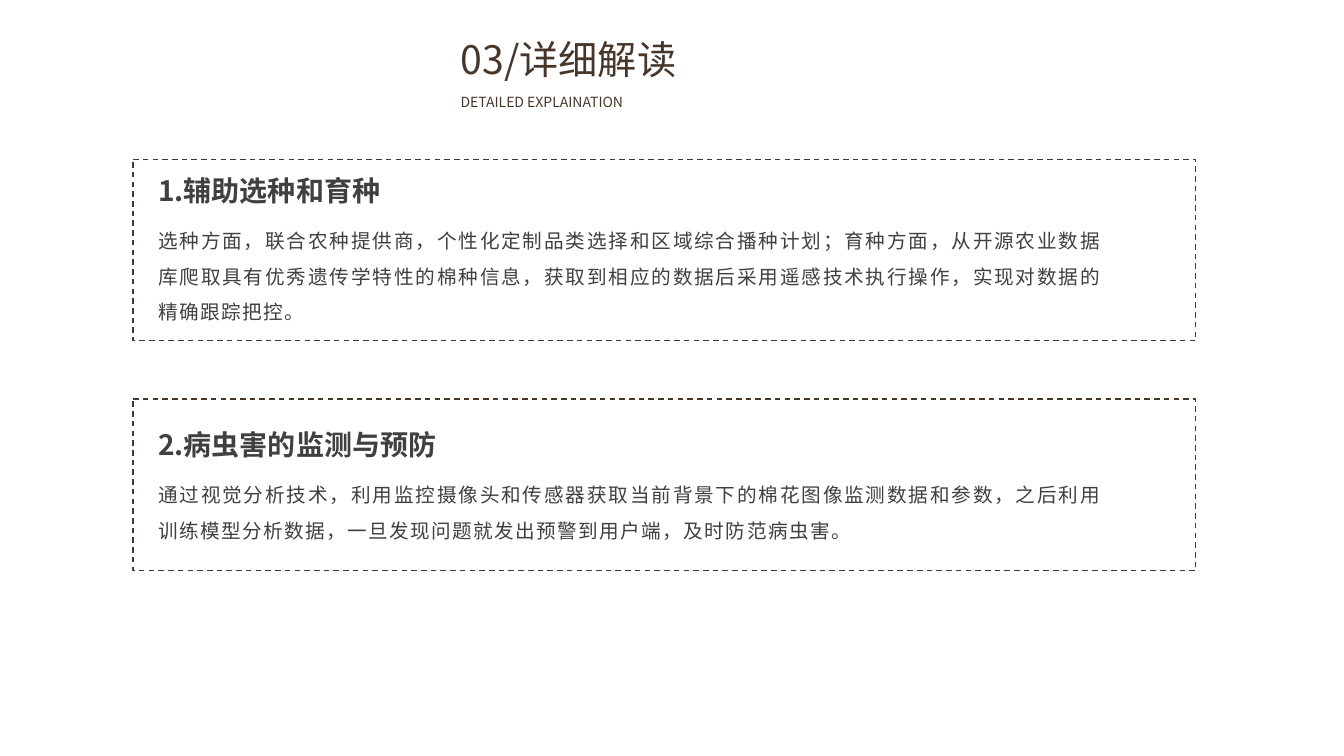
from pptx import Presentation
from pptx.dml.color import RGBColor
from pptx.enum.dml import MSO_LINE
from pptx.enum.shapes import MSO_SHAPE
from pptx.enum.text import MSO_ANCHOR, MSO_AUTO_SIZE, PP_ALIGN
from pptx.oxml.ns import qn
from pptx.util import Inches, Pt

FONT = "Noto Sans CJK SC"
COLORS = {"brown": "47372B", "gray": "404040"}
FRAME = {"word_wrap": True, "auto_size": MSO_AUTO_SIZE.SHAPE_TO_FIT_TEXT,
         "vertical_anchor": MSO_ANCHOR.TOP}
STYLES = {
    "title": {"size": Pt(28), "bold": False, "name": FONT},
    "subtitle": {"size": Pt(10), "bold": False, "name": FONT},
    "heading": {"size": Pt(20), "bold": True, "name": FONT},
    "body": {"size": Pt(14), "bold": False, "name": FONT},
}
SECTIONS = [
    {"box": (1.32, 1.58, 10.54, 1.8), "inset": 0.09, "body_height": 1.12,
     "heading": "1.辅助选种和育种",
     "body": "选种方面，联合农种提供商，个性化定制品类选择和区域综合播种计划；"
             "育种方面，从开源农业数据库爬取具有优秀遗传学特性的棉种信息，"
             "获取到相应的数据后采用遥感技术执行操作，实现对数据的精确跟踪把控。"},
    {"box": (1.32, 3.96, 10.54, 1.7), "inset": 0.23, "body_height": 0.77,
     "heading": "2.病虫害的监测与预防",
     "body": "通过视觉分析技术，利用监控摄像头和传感器获取当前背景下的棉花图像监测数据和参数，"
             "之后利用训练模型分析数据，一旦发现问题就发出预警到用户端，及时防范病虫害。"},
]


def set_attrs(obj, values):
    """Set every attribute in the dict on the object."""
    for name, value in values.items():
        setattr(obj, name, value)


def write_text(sp, text, style, color, line_spacing=1.0, tracking=0):
    """Fill a text shape with one justified, formatted paragraph."""
    tf = sp.text_frame
    set_attrs(tf, FRAME)
    p = tf.paragraphs[0]
    set_attrs(p, {"alignment": PP_ALIGN.JUSTIFY, "line_spacing": line_spacing})
    r = p.add_run()
    r.text = text
    set_attrs(r.font, STYLES[style])
    r.font.color.rgb = RGBColor.from_string(COLORS[color])
    rPr = r.font._element
    rPr.set("lang", "zh-CN")
    if tracking:
        rPr.set("spc", str(tracking))
    rPr.find(qn("a:latin")).addnext(
        rPr.makeelement(qn("a:ea"), {"typeface": FONT}))


def add_header(s, left, top, width):
    """Place the title and its English subtitle."""
    title = s.shapes.title
    set_attrs(title, {"left": Inches(left), "top": Inches(top),
                      "width": Inches(width), "height": Inches(0.57)})
    write_text(title, "03/详细解读", "title", "brown")
    subtitle = s.shapes.add_textbox(Inches(left), Inches(top + 0.58),
                                    Inches(width), Inches(0.27))
    write_text(subtitle, "DETAILED EXPLAINATION", "subtitle", "brown")


def add_section(s, box, inset, heading, body, body_height):
    """Draw a dashed frame holding a heading and a paragraph."""
    left, top, width, height = box
    text_left, text_top = left + 0.15, top + inset
    text_width = width - 0.98
    sp = s.shapes.add_textbox(Inches(text_left), Inches(text_top + 0.44),
                              Inches(text_width), Inches(body_height))
    write_text(sp, body, "body", "gray", line_spacing=1.5, tracking=100)
    sp = s.shapes.add_textbox(Inches(text_left), Inches(text_top),
                              Inches(3.92), Inches(0.44))
    write_text(sp, heading, "heading", "gray")
    frame = s.shapes.add_shape(MSO_SHAPE.ROUNDED_RECTANGLE,
                               *map(Inches, (left, top, width, height)))
    frame.adjustments[0] = 0
    frame.shadow.inherit = False
    frame.fill.background()
    frame.line.color.rgb = RGBColor.from_string(COLORS["brown"])
    set_attrs(frame.line, {"width": Pt(1), "dash_style": MSO_LINE.DASH})


def main():
    """Build the slide and save it."""
    prs = Presentation()
    set_attrs(prs, {"slide_width": Inches(13.33), "slide_height": Inches(7.5)})
    s = prs.slides.add_slide(prs.slide_layouts[5])
    add_header(s, 4.47, 0.3, 3.56)
    for section in SECTIONS:
        add_section(s, **section)
    prs.save("out.pptx")


if __name__ == "__main__":
    main()
